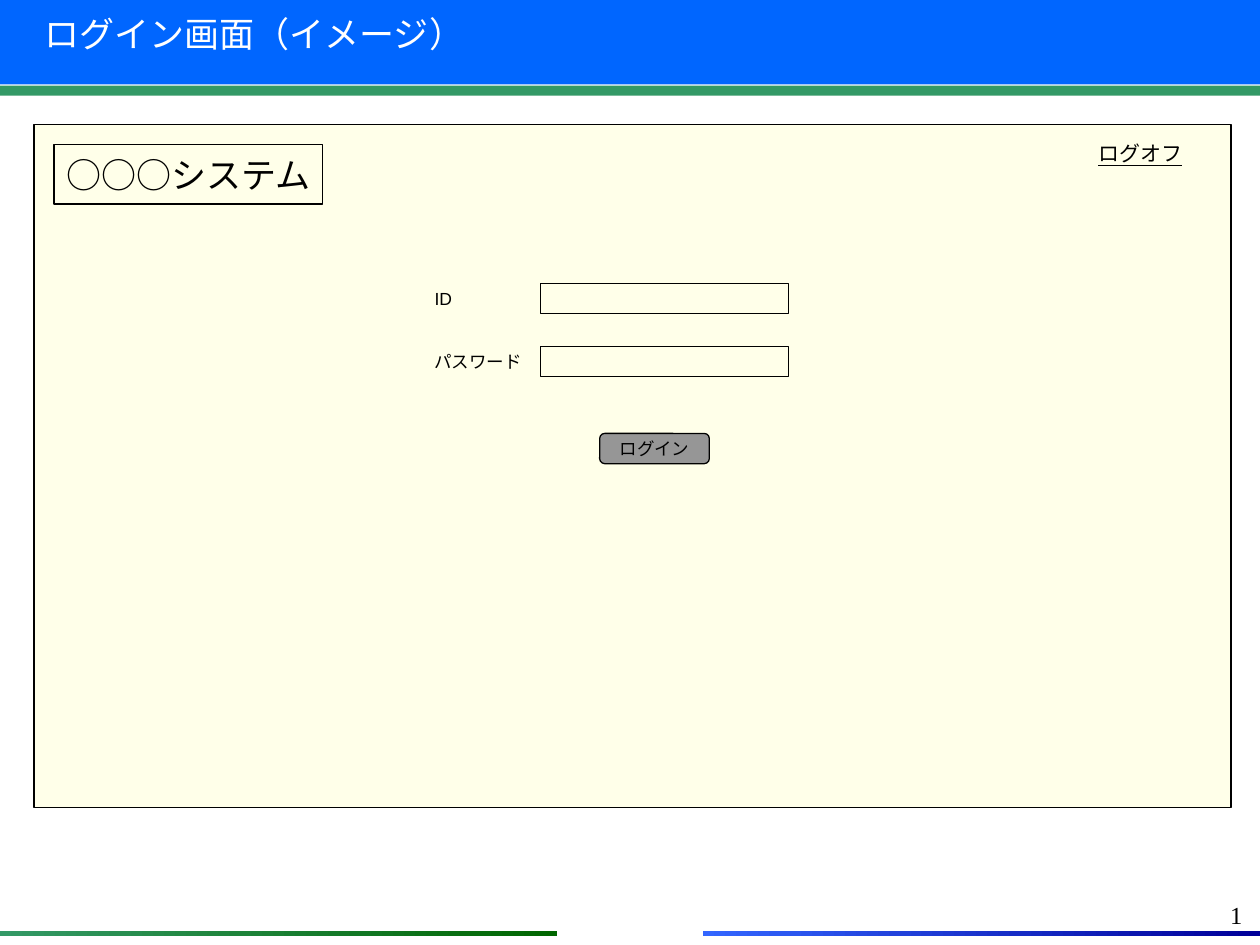
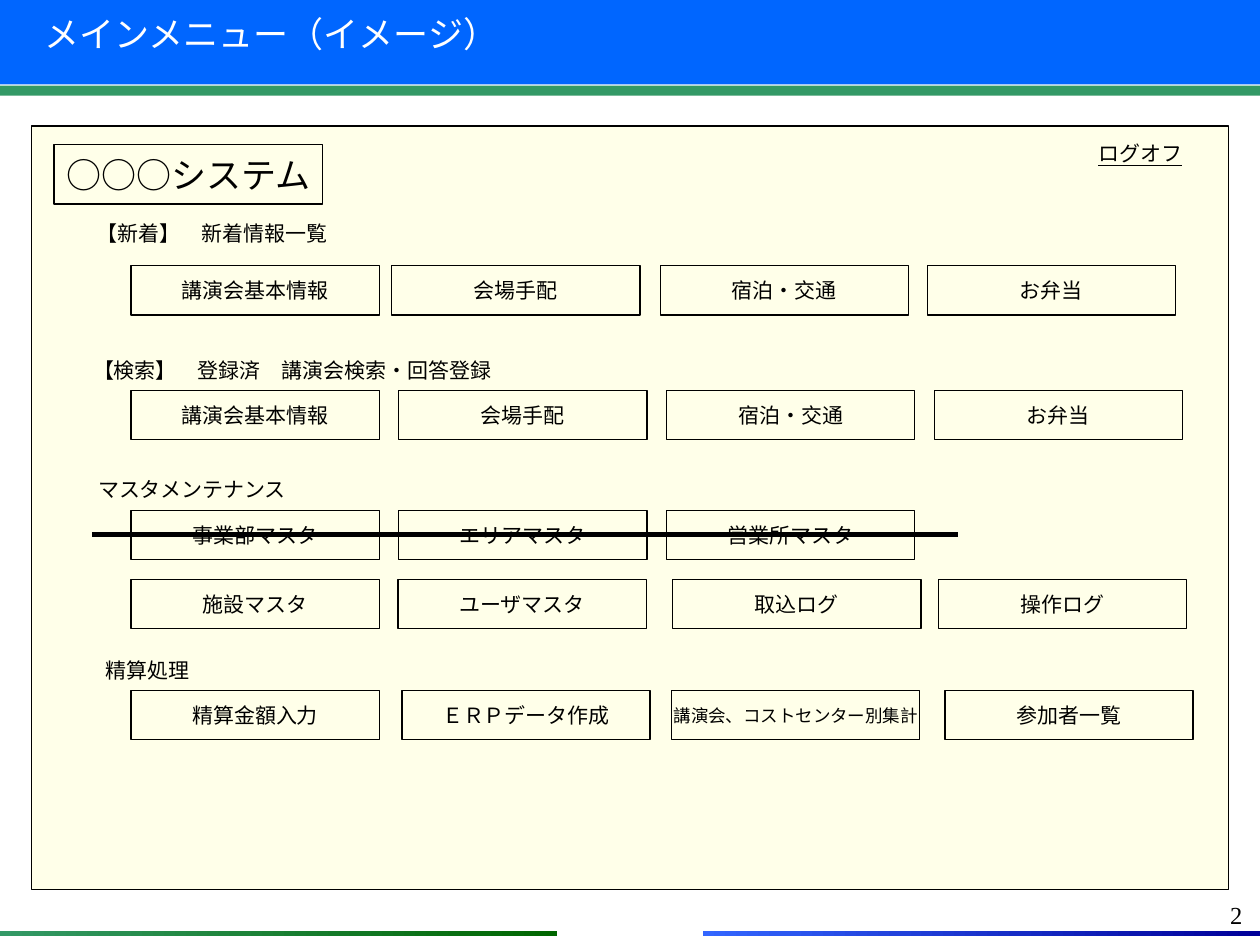
from collections import namedtuple

from lxml import etree
from pptx import Presentation
from pptx import util as u
from pptx.dml import color as dml
from pptx.enum import shapes, text
from pptx.oxml import ns

Box = namedtuple("Box", "left top width height")

COLOURS = {
    "band": "0066FF", "stripe": "339966", "panel": "FFFFE9",
    "button": "969696", "ink": "000000", "title": "FFFFFF",
}
FOOTER_BARS = [
    (5.58, ("3366FF", "000099")),
    (0, ("339966", "006600")),
]
BODY_FONT = {"name": "Arial", "size": u.Pt(12)}
SMALL_FONT = {**BODY_FONT, "size": u.Pt(10)}
SYSTEM_FONT = {**BODY_FONT, "size": u.Pt(20)}
LINK_FONT = {**BODY_FONT, "underline": True}
TITLE_FONT = {"name": "DejaVu Sans", "size": u.Pt(20)}
NUMBER_FONT = {"name": "Times New Roman", "size": u.Pt(14)}
TOP_FRAME = {"word_wrap": True, "vertical_anchor": text.MSO_ANCHOR.TOP,
             "auto_size": text.MSO_AUTO_SIZE.NONE}
MIDDLE_FRAME = {"word_wrap": False, "vertical_anchor": text.MSO_ANCHOR.MIDDLE}

HEADER_BOX = Box(0.43, 1.07, 9.15, 0.55)
LOGOFF_WIDTH = 0.96
LOGIN_PANEL = Box(0.27, 0.99, 9.5, 5.42)
MENU_PANEL = Box(0.25, 1, 9.5, 6.06)
FIELD_LABELS = ["ID", "パスワード"]
BUTTON_WIDTH, BUTTON_HEIGHT = 1.97, 0.39
GRID_LEFTS = [0.79 + 2.125 * column for column in range(4)]

MENU_LABELS = [
    (0.42, 0.7, 2.05, "【新着】　新着情報一覧"),
    (0.39, 1.79, 3.54, "【検索】　登録済　講演会検索・回答登録"),
    (0.43, 2.73, 2.05, "マスタメンテナンス"),
    (0.49, 4.17, 2.05, "精算処理"),
]
EVENT_BUTTONS = ["講演会基本情報", "会場手配", "宿泊・交通", "お弁当"]
MENU_ROWS = [
    (1.11, [0.79, 2.86, 4.99, 7.11], EVENT_BUTTONS),
    (2.1, GRID_LEFTS, EVENT_BUTTONS),
    (3.05, GRID_LEFTS, ["事業部マスタ", "エリアマスタ", "営業所マスタ"]),
    (3.6, [0.79, 2.91, 5.09, 7.2],
     ["施設マスタ", "ユーザマスタ", "取込ログ", "操作ログ"]),
    (4.48, [0.79, 2.94, 5.08, 7.25],
     ["精算金額入力", "ＥＲＰデータ作成", "講演会、コストセンター別集計", "参加者一覧"]),
]
LONG_LABEL = 10


def rgb(value):
    return dml.RGBColor.from_string(value)


def inches(box):
    return [u.Inches(value) for value in box]


def within(outer, left, top, width, height):
    return Box(outer.left + left, outer.top + top, width, height)


def apply(target, values):
    for name, value in values.items():
        setattr(target, name, value)


def write(shape, wording, font, frame, align=text.PP_ALIGN.LEFT, colour="ink"):
    apply(shape.text_frame, frame)
    paragraph = shape.text_frame.paragraphs[0]
    paragraph.alignment = align
    run = paragraph.add_run()
    run.text = wording
    apply(run.font, font)
    run.font.color.rgb = rgb(COLOURS[colour])


def add_box(slide, box, fill=None, outline=True,
            kind=shapes.MSO_SHAPE.RECTANGLE):
    shape = slide.shapes.add_shape(kind, *inches(box))
    shape.shadow.inherit = False
    if fill:
        shape.fill.solid()
        shape.fill.fore_color.rgb = rgb(COLOURS[fill])
    else:
        shape.fill.background()
    if outline:
        shape.line.color.rgb = rgb(COLOURS["ink"])
        shape.line.width = u.Pt(0.75)
    else:
        shape.line.fill.background()
    return shape


def add_button(slide, box, wording, font=BODY_FONT, **style):
    shape = add_box(slide, box, **style)
    write(shape, wording, font, MIDDLE_FRAME, text.PP_ALIGN.CENTER)


def add_label(slide, box, wording, font=BODY_FONT, align=text.PP_ALIGN.LEFT):
    label = slide.shapes.add_textbox(*inches(box))
    write(label, wording, font, TOP_FRAME, align)


def add_bands(slide):
    add_box(slide, Box(0, 0, 10, 0.67), "band", outline=False)
    add_box(slide, Box(-0.04, 0.68, 10.04, 0.08), "stripe", outline=False)
    for left, colours in FOOTER_BARS:
        bar = add_box(slide, Box(left, 7.39, 4.42, 0.04), outline=False)
        bar.fill.gradient()
        bar.fill.gradient_angle = 0
        for stop, colour in zip(bar.fill.gradient_stops, colours):
            stop.color.rgb = rgb(colour)


def add_title(slide, wording):
    title = slide.shapes.title
    title.element.getparent().append(title.element)
    apply(title, Box(*inches((0.25, 0.05, 9.75, 0.79)))._asdict())
    write(title, wording, TITLE_FONT, TOP_FRAME, colour="title")


def add_header(slide, box):
    add_button(slide, within(box, 0, 0.08, 2.13, 0.47), "○○○システム", SYSTEM_FONT)
    add_label(slide, within(box, box.width - LOGOFF_WIDTH, 0, LOGOFF_WIDTH, 0.3),
              "ログオフ", LINK_FONT)


def add_screen(presentation, title, panel):
    slide = presentation.slides.add_slide(presentation.slide_layouts[5])
    add_bands(slide)
    add_title(slide, title)
    add_label(slide, Box(7.63, 7.09, 2.33, 0.52), str(len(presentation.slides)),
              NUMBER_FONT, text.PP_ALIGN.RIGHT)
    add_box(slide, panel, "panel")
    add_header(slide, HEADER_BOX)
    return slide


def add_login_form(slide, panel):
    for row, wording in enumerate(FIELD_LABELS):
        top = 1.25 + 0.5 * row
        add_label(slide, within(panel, 3.08, top, 2.05, 0.3), wording, SMALL_FONT)
        add_box(slide, within(panel, 4.02, top + 0.01, 1.97, 0.24))
    add_button(slide, within(panel, 4.49, 2.45, 0.87, 0.24), "ログイン", SMALL_FONT,
               fill="button", kind=shapes.MSO_SHAPE.ROUNDED_RECTANGLE)


def add_strike(slide, panel):
    left, right, top = panel.left + 0.48, panel.left + 7.35, panel.top + 3.24
    strike = slide.shapes.add_connector(
        shapes.MSO_CONNECTOR.STRAIGHT, *inches((left, top, right, top)))
    strike.line.color.rgb = rgb(COLOURS["ink"])
    strike.line.width = u.Pt(2.75)
    properties = strike.element.find(ns.qn("p:spPr"))
    etree.SubElement(properties, ns.qn("a:effectLst"))


def add_menu(slide, panel):
    for left, top, width, wording in MENU_LABELS:
        add_label(slide, within(panel, left, top, width, 0.3), wording)
    for top, lefts, names in MENU_ROWS:
        for left, name in zip(lefts, names):
            font = SMALL_FONT if len(name) > LONG_LABEL else BODY_FONT
            add_button(slide, within(panel, left, top, BUTTON_WIDTH, BUTTON_HEIGHT),
                       name, font)
    add_strike(slide, panel)


def main():
    presentation = Presentation()
    presentation.slide_width = u.Inches(10)
    presentation.slide_height = u.Inches(7.5)
    login = add_screen(presentation, "ログイン画面（イメージ）", LOGIN_PANEL)
    add_login_form(login, LOGIN_PANEL)
    menu = add_screen(presentation, "メインメニュー（イメージ）", MENU_PANEL)
    add_menu(menu, MENU_PANEL)
    presentation.save("out.pptx")


if __name__ == "__main__":
    main()
